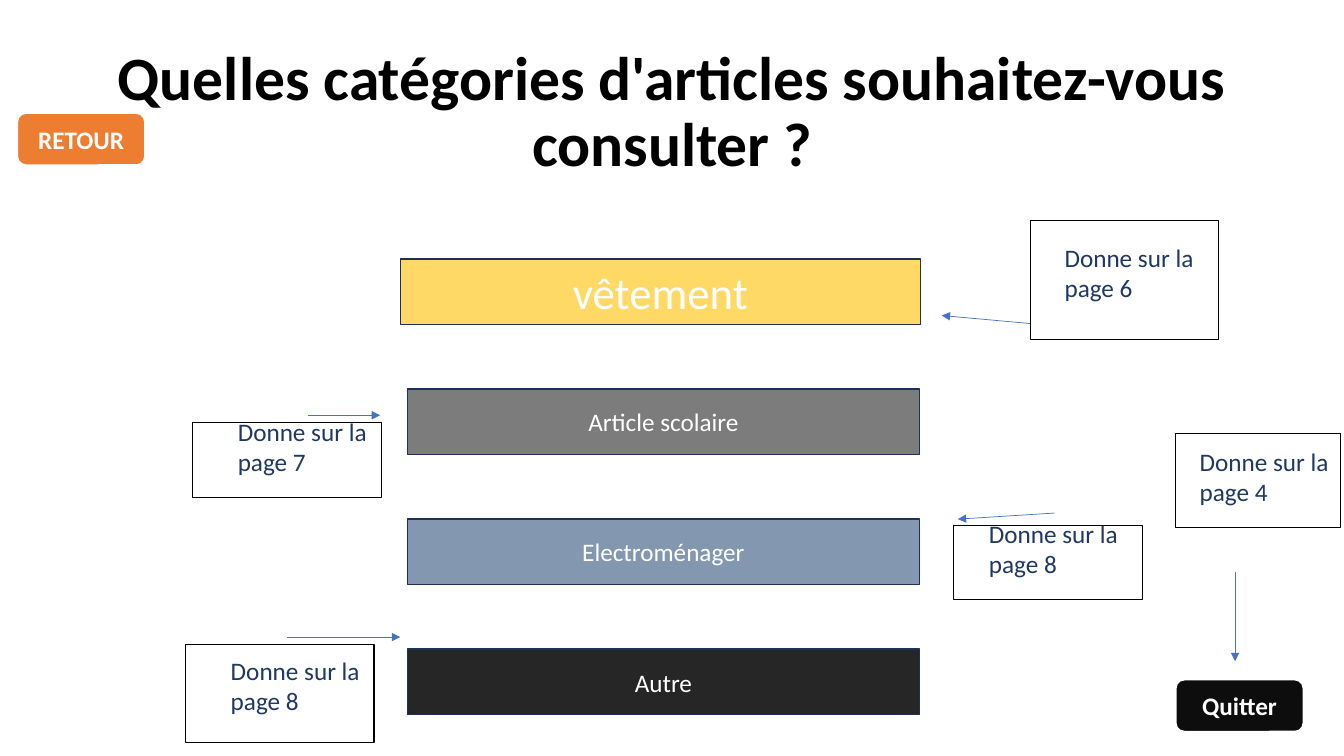
from lxml import etree
from pptx import Presentation
from pptx.dml.color import RGBColor
from pptx.enum.shapes import MSO_CONNECTOR as CONN, MSO_SHAPE as SHAPE
from pptx.enum.text import MSO_ANCHOR as ANCHOR, PP_ALIGN as ALIGN
from pptx.oxml.ns import qn
from pptx.util import Inches, Pt

THEME = {
    "font": "Calibri",
    "title": {"size": 44, "color": "000000", "bold": True},
    "category": {"size": 18, "color": "FFFFFF", "bold": False},
    "featured": {"size": 32, "color": "FFFFFF", "bold": False},
    "button": {"size": 18, "color": "FFFFFF", "bold": True},
    "note": {"size": 18, "color": "203864", "bold": False},
    "category_line": ("1E3256", 1),
    "button_line": ("FFFFFF", 1.5),
    "frame_line": ("000000", 0.75),
    "arrow_line": ("4472C4", 0.5),
}

TITLE = "Quelles catégories d'articles souhaitez-vous consulter ?"
CATEGORIES = [
    ("vêtement", "FFD966", "featured", 3.97, 5.16),
    ("Article scolaire", "7C7C7C", "category", 4.04, 5.08),
    ("Electroménager", "8497B0", "category", 4.04, 5.08),
    ("Autre", "262626", "category", 4.04, 5.08),
]
BUTTONS = [
    ("RETOUR", "ED7D31", 0.17, 1.12),
    ("Quitter", "0D0D0D", 11.66, 6.74),
]
NOTES = [
    {"page": 6, "text_at": (10.46, 2.35), "frame": (10.22, 2.19, 1.87, 1.18),
     "arrow": (10.22, 3.21, 9.34, 3.13)},
    {"page": 7, "text_at": (2.26, 4.08), "frame": (1.91, 4.19, 1.87, 0.75),
     "arrow": (3.05, 4.12, 3.77, 4.12)},
    {"page": 8, "text_at": (9.71, 5.09), "frame": (9.46, 5.21, 1.87, 0.74),
     "arrow": (10.46, 5.09, 9.5, 5.15)},
    {"page": 8, "text_at": (2.19, 6.45), "frame": (1.84, 6.39, 1.87, 0.98),
     "arrow": (2.85, 6.32, 3.97, 6.32)},
    {"page": 4, "text_at": (11.8, 4.38), "frame": (11.66, 4.3, 1.64, 0.93),
     "arrow": (12.25, 5.67, 12.25, 6.56)},
]
CATEGORY_TOP, CATEGORY_STEP, CATEGORY_HEIGHT = 2.57, 1.29, 0.65
BUTTON_SIZE = (1.27, 0.52)
NOTE_SIZE = (1.51, 0.71)


def inches(values):
    return [Inches(v) for v in values]


def set_line(line, style):
    color, width = style
    line.color.rgb = RGBColor.from_string(color)
    line.width = Pt(width)


def write(sp, text, style, align=ALIGN.CENTER, anchor=ANCHOR.MIDDLE):
    tf = sp.text_frame
    tf.word_wrap = True
    tf.vertical_anchor = anchor
    p = tf.paragraphs[0]
    p.alignment = align
    r = p.add_run()
    r.text = text
    fmt = THEME[style]
    r.font.color.rgb = RGBColor.from_string(fmt["color"])
    values = {"name": THEME["font"], "size": Pt(fmt["size"]), "bold": fmt["bold"]}
    for name, value in values.items():
        setattr(r.font, name, value)
    return p


def add_box(shapes, kind, box, line, fill=None):
    sp = shapes.add_shape(kind, *inches(box))
    sp.shadow.inherit = False
    if fill:
        sp.fill.solid()
        sp.fill.fore_color.rgb = RGBColor.from_string(fill)
    else:
        sp.fill.background()
    set_line(sp.line, THEME[line])
    return sp


def add_text(shapes, box, text, style, align, anchor):
    return write(shapes.add_textbox(*inches(box)), text, style, align, anchor)


def add_arrow(shapes, ends):
    cx = shapes.add_connector(CONN.STRAIGHT, *inches(ends))
    set_line(cx.line, THEME["arrow_line"])
    etree.SubElement(cx.line._get_or_add_ln(), qn("a:tailEnd"), type="triangle")
    etree.SubElement(cx._element.spPr, qn("a:effectLst"))


def main():
    prs = Presentation()
    prs.slide_width, prs.slide_height = inches((13.33, 7.5))
    shapes = prs.slides.add_slide(prs.slide_layouts[6]).shapes

    p = add_text(shapes, (0.92, 0.4, 11.5, 1.45), TITLE, "title",
                 ALIGN.CENTER, ANCHOR.MIDDLE)
    p.line_spacing = 0.9

    for i, (label, fill, style, left, width) in enumerate(CATEGORIES):
        box = (left, CATEGORY_TOP + i * CATEGORY_STEP, width, CATEGORY_HEIGHT)
        write(add_box(shapes, SHAPE.RECTANGLE, box, "category_line", fill), label, style)

    for note in NOTES:
        add_text(shapes, note["text_at"] + NOTE_SIZE,
                 f"Donne sur la page {note['page']}", "note", ALIGN.LEFT, ANCHOR.TOP)
        add_arrow(shapes, note["arrow"])
        add_box(shapes, SHAPE.RECTANGLE, note["frame"], "frame_line")

    for label, fill, left, top in BUTTONS:
        box = (left, top) + BUTTON_SIZE
        sp = add_box(shapes, SHAPE.ROUNDED_RECTANGLE, box, "button_line", fill)
        write(sp, label, "button")

    prs.save("out.pptx")


if __name__ == "__main__":
    main()
